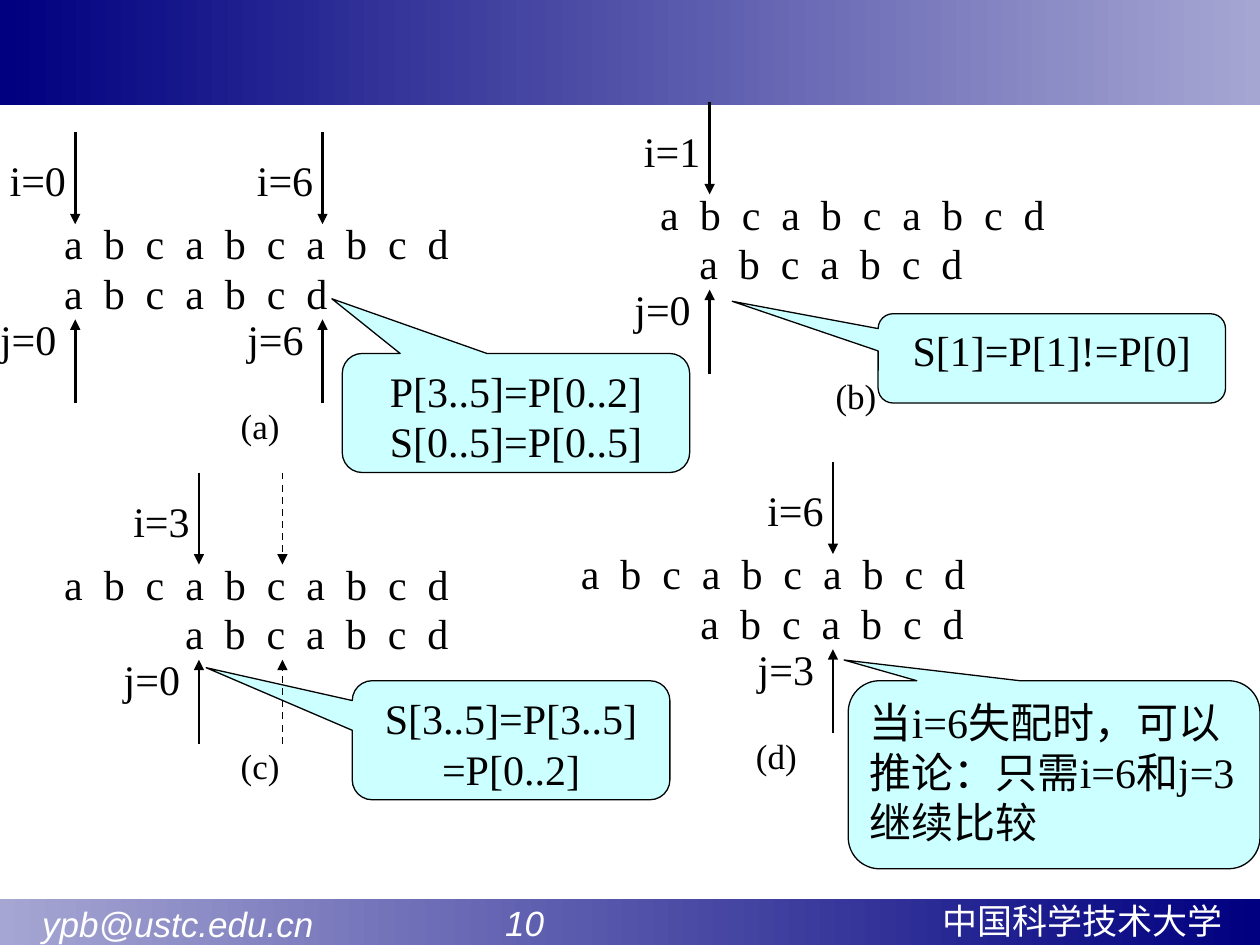
from lxml import etree
from pptx import Presentation
from pptx.dml.color import RGBColor
from pptx.enum.dml import MSO_LINE
from pptx.enum.shapes import MSO_CONNECTOR, MSO_SHAPE
from pptx.enum.text import MSO_ANCHOR, PP_ALIGN
from pptx.oxml.ns import qn
from pptx.util import Pt

RECTANGLE = MSO_SHAPE.RECTANGLE
CALLOUT = MSO_SHAPE.ROUNDED_RECTANGULAR_CALLOUT
STRAIGHT = MSO_CONNECTOR.STRAIGHT
DASH = MSO_LINE.DASH
LEFT, CENTER = PP_ALIGN.LEFT, PP_ALIGN.CENTER
TOP = MSO_ANCHOR.TOP

BLACK, WHITE = "000000", "FFFFFF"
NAVY, LAVENDER, CYAN = "000080", "A6A6D3", "CCFFFF"
SERIF, SANS = "Times New Roman", "Arial"
LETTER_SPACING = 3

SOURCE = "a b c a b c a b c d"
PATTERN = "a b c a b c d"


def color(value):
    return RGBColor.from_string(value)


class SlideBuilder:
    """Holds the style and the current slide."""

    def __init__(self, slide):
        self.slide = slide

    def set_text(self, shape, lines, size=24, font=SERIF, ink=BLACK,
                 align=LEFT, margins=(7.2, 3.6), spacing=0, italic=False):
        frame = shape.text_frame
        frame.word_wrap = True
        frame.vertical_anchor = TOP
        frame.margin_left = frame.margin_right = Pt(margins[0])
        frame.margin_top = frame.margin_bottom = Pt(margins[1])
        frame.text = lines
        for paragraph in frame.paragraphs:
            paragraph.alignment = align
            for run in paragraph.runs:
                run.font.size = Pt(size)
                run.font.name = font
                run.font.italic = italic
                run.font.color.rgb = color(ink)
                if spacing:
                    run._r.get_or_add_rPr().set("spc", str(spacing * 100))

    def shape(self, kind, left, top, width, height):
        shape = self.slide.shapes.add_shape(
            kind, Pt(left), Pt(top), Pt(width), Pt(height))
        shape.shadow.inherit = False
        shape.line.fill.background()
        return shape

    def band(self, top, height, start, end):
        shape = self.shape(RECTANGLE, 0, top, 720, height)
        shape.fill.gradient()
        shape.fill.gradient_angle = 0
        for stop, value in zip(shape.fill.gradient_stops, (start, end)):
            stop.color.rgb = color(value)

    def footer(self, text, left, top, width, italic=True):
        box = self.slide.shapes.add_textbox(
            Pt(left), Pt(top), Pt(width), Pt(31.5))
        self.set_text(box, text, 20, SANS, WHITE, italic=italic)

    def label(self, text, left, top, width, height, size=24, spacing=0):
        shape = self.shape(RECTANGLE, left, top, width, height)
        shape.fill.solid()
        shape.fill.fore_color.rgb = color(WHITE)
        self.set_text(shape, text, size, margins=(0, 0), spacing=spacing)

    def arrow(self, x, start, end, width=1.5, dash=None):
        connector = self.slide.shapes.add_connector(
            STRAIGHT, Pt(x), Pt(start), Pt(x), Pt(end))
        connector.line.color.rgb = color(BLACK)
        connector.line.width = Pt(width)
        if dash:
            connector.line.dash_style = dash
        properties = connector._element.spPr
        tail = etree.SubElement(properties.find(qn("a:ln")), qn("a:tailEnd"))
        tail.set("type", "triangle")
        etree.SubElement(properties, qn("a:effectLst"))

    def arrow_pair(self, x, top, width=1.5, dash=None):
        self.arrow(x, top - 49, top + 3.6, width, dash)
        self.arrow(x, top + 106, top + 58, width, dash)

    def panel(self, name, name_left, top, source_left, pattern_left, pointers):
        """Source row, pattern row and the i/j pointers that compare them."""
        self.label(SOURCE, source_left, top, 221, 28, spacing=LETTER_SPACING)
        self.label(PATTERN, pattern_left, top + 28.3, 211, 43,
                   spacing=LETTER_SPACING)
        for x, i, j in pointers:
            self.label(f"i={i}", x - 37.5, top - 36, 60, 28)
            self.label(f"j={j}", x - 43, top + 54.7, 42.5, 34)
        self.label(name, name_left, top + 106.7, 47, 27.5, size=20)
        for x, _, _ in pointers:
            self.arrow_pair(x, top)

    def callout(self, text, box, tip, align=CENTER):
        shape = self.shape(CALLOUT, *box)
        shape.adjustments[0], shape.adjustments[1] = tip
        shape.fill.solid()
        shape.fill.fore_color.rgb = color(CYAN)
        shape.line.color.rgb = color(BLACK)
        shape.line.width = Pt(0.75)
        self.set_text(shape, text, align=align)


def main():
    presentation = Presentation()
    presentation.slide_width, presentation.slide_height = Pt(720), Pt(540)
    slide = presentation.slides.add_slide(presentation.slide_layouts[6])
    builder = SlideBuilder(slide)

    # Header and footer bands
    builder.band(514, 28, LAVENDER, NAVY)
    builder.band(0, 60, NAVY, LAVENDER)
    builder.footer("中国科学技术大学", 531.5, 510.5, 185, italic=False)
    builder.footer("10", 281.5, 511.5, 106)
    builder.footer("ypb@ustc.edu.cn", 17, 512, 175)

    # Four matching steps: pointers are (x, i, j)
    panels = [
        ("(a)", 137.5, 124.5, 36.7, 36.7, [(43, 0, 0), (184.3, 6, 6)]),
        ("(b)", 477.5, 107.5, 377.3, 399.6, [(405.5, 1, 0)]),
        ("(c)", 137.5, 319, 36.7, 105.8, [(113.7, 3, 0)]),
        ("(d)", 432, 313, 331.9, 400.3, [(476, 6, 3)]),
    ]
    for panel in panels:
        builder.panel(*panel)

    # Explanations
    builder.callout("S[1]=P[1]!=P[0]", (501.8, 179.3, 198.5, 51),
                    (-0.92, -0.64))
    builder.callout("P[3..5]=P[0..2]\nS[0..5]=P[0..5]",
                    (195.6, 202, 198.5, 68), (-0.53, -0.96))
    builder.callout("S[3..5]=P[3..5]\n=P[0..2]",
                    (201.3, 389, 181.5, 68), (-0.96, -0.61))
    builder.callout("当i=6失配时，可以推论：只需i=6和j=3继续比较",
                    (484.7, 389, 235.3, 107.5), (-0.51, -0.61), LEFT)

    # Dashed pointers at the end of the matched part in (c)
    builder.arrow_pair(161.4, 319, 1, DASH)

    presentation.save("out.pptx")


if __name__ == "__main__":
    main()
